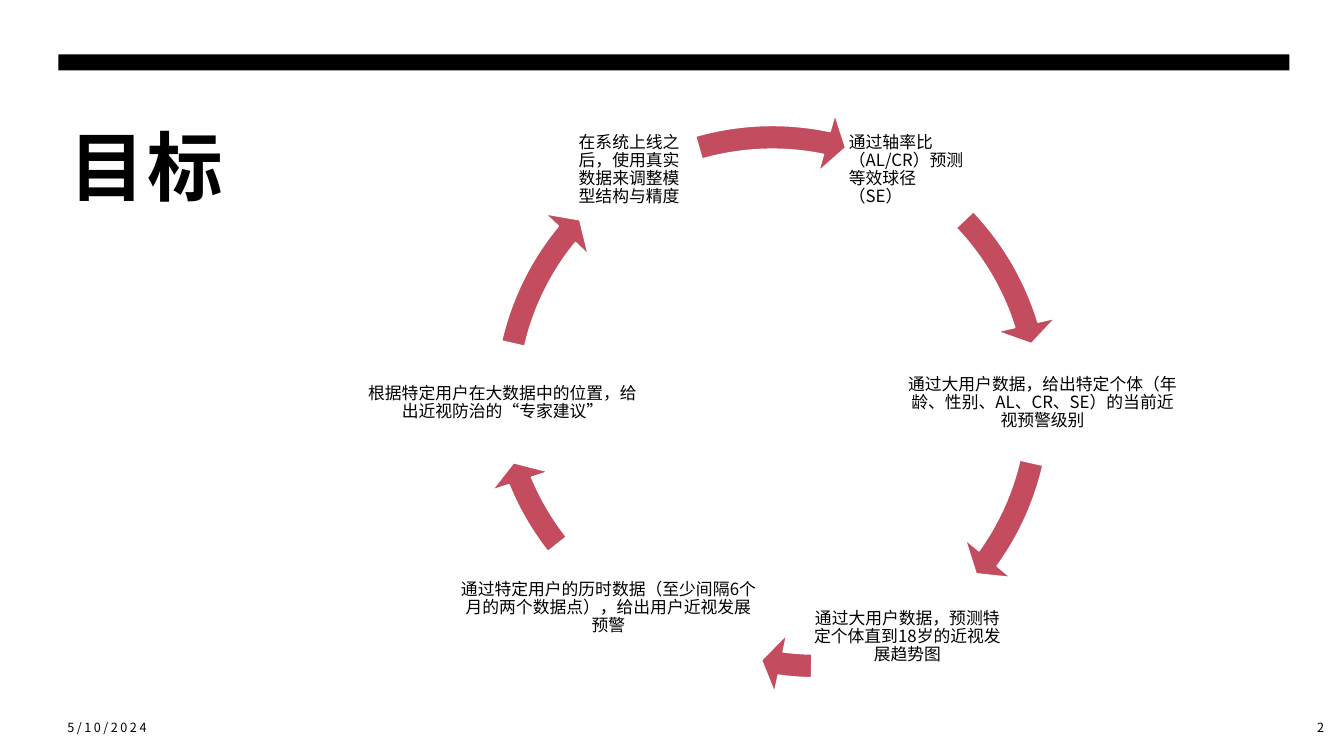
"""Builds the goals slide: a cycle of six steps joined by curved arrows."""
from lxml import etree
from pptx import Presentation
from pptx import util as u
from pptx.dml.color import RGBColor
from pptx.enum import shapes, text
from pptx.oxml import ns

BLACK = RGBColor(0x00, 0x00, 0x00)
WHITE = RGBColor(0xFF, 0xFF, 0xFF)
ROSE = RGBColor(0xC3, 0x4D, 0x5F)

LEFT, CENTER, RIGHT = text.PP_ALIGN.LEFT, text.PP_ALIGN.CENTER, text.PP_ALIGN.RIGHT
TOP, MIDDLE = text.MSO_ANCHOR.TOP, text.MSO_ANCHOR.MIDDLE
RING_SIZE = 5.86
RING_CORNER = (4.73, 1.07)
STEP_HEIGHT = 1.2

STEPS = [
    ("通过轴率比（AL/CR）预测等效球径（SE）", (8.4, 1.09), 1.2, LEFT,
     RING_CORNER, (316.39, 342.88)),
    ("通过大用户数据，给出特定个体（年龄、性别、AL、CR、SE）的当前近视预警级别", (8.94, 3.4), 2.8, CENTER,
     RING_CORNER, (12.95, 35.76)),
    ("通过大用户数据，预测特定个体直到18岁的近视发展趋势图", (8.05, 5.72), 1.9, CENTER,
     (5.17, 1.04), (91.07, 97.79)),
    ("通过特定用户的历时数据（至少间隔6个月的两个数据点），给出用户近视发展预警", (4.52, 5.43), 3.03, CENTER,
     (4.67, 0.84), (141.85, 157.68)),
    ("根据特定用户在大数据中的位置，给出近视防治的“专家建议”", (3.61, 3.4), 2.75, CENTER,
     RING_CORNER, (192.95, 219.43)),
    ("在系统上线之后，使用真实数据来调整模型结构与精度", (5.72, 1.09), 1.2, LEFT,
     RING_CORNER, (253.99, 281.84)),
]


def apply(target, formats):
    """Set each named attribute of the target."""
    for name, value in formats.items():
        setattr(target, name, value)


class SlideBuilder:
    """Holds the style and the current slide."""

    font = "Noto Sans CJK SC"

    def __init__(self, page):
        """Start on a page with a white background."""
        self.page = page
        page.background.fill.solid()
        page.background.fill.fore_color.rgb = WHITE

    def label(self, words, at, size, points, align=LEFT, anchor=MIDDLE,
              insets=(0.1, 0.05, 0.1, 0.05), bold=False, tracking=0, leading=1.0):
        """Add a wrapped text box with one paragraph."""
        box = self.page.shapes.add_textbox(*map(u.Inches, at + size))
        sides = ("margin_left", "margin_top", "margin_right", "margin_bottom")
        apply(box.text_frame, dict(zip(sides, map(u.Inches, insets)),
                                   word_wrap=True, vertical_anchor=anchor))
        para = box.text_frame.paragraphs[0]
        apply(para, {"alignment": align, "line_spacing": leading})
        span = para.add_run()
        span.text = words
        apply(span.font, {"name": self.font, "size": u.Pt(points), "bold": bold})
        span.font.color.rgb = BLACK
        properties = span.font._element
        properties.set("spc", str(round(tracking * 100)))
        etree.SubElement(properties, ns.qn("a:ea"), typeface=self.font)

    def shape(self, kind, at, size, color):
        """Add a filled preset shape without shadow or outline."""
        shape = self.page.shapes.add_shape(kind, *map(u.Inches, at + size))
        shape.shadow.inherit = False
        shape.fill.solid()
        shape.fill.fore_color.rgb = color
        shape.line.fill.background()
        return shape

    def arc_arrow(self, at, start, end):
        """Add a curved arrow between two angles given in degrees."""
        arrow = self.shape(shapes.MSO_SHAPE.CIRCULAR_ARROW, at, (RING_SIZE, RING_SIZE), ROSE)
        arrow.line.color.rgb = WHITE
        arrow.line.width = u.Pt(1)
        head = 4.17
        values = (0.04, head * 0.6, end * 0.6, start * 0.6, 0.05)
        for index, value in enumerate(values):
            arrow.adjustments[index] = value


def main():
    """Build the deck and save it."""
    deck = Presentation()
    apply(deck, {"slide_width": u.Inches(13.33), "slide_height": u.Inches(7.5)})
    builder = SlideBuilder(deck.slides.add_slide(deck.slide_layouts[6]))
    builder.label("5/10/2024", (0.57, 7.02), (3, 0.4), 9, tracking=1.8)
    builder.label("2", (12.53, 7.02), (0.7, 0.4), 9, align=RIGHT)
    builder.shape(shapes.MSO_SHAPE.RECTANGLE, (0.58, 0.54), (12.21, 0.16), BLACK)
    builder.label("目标", (0.57, 1.07), (4.69, 3.68), 54, anchor=TOP,
                  insets=(0.12, 0.12, 0.12, 0.1), bold=True, tracking=2)
    for words, at, width, align, ring, angles in STEPS:
        builder.label(words, at, (width, STEP_HEIGHT), 12, align=align,
                      insets=(0.02,) * 4, leading=0.9)
        builder.arc_arrow(ring, *angles)
    deck.save("out.pptx")


if __name__ == "__main__":
    main()
